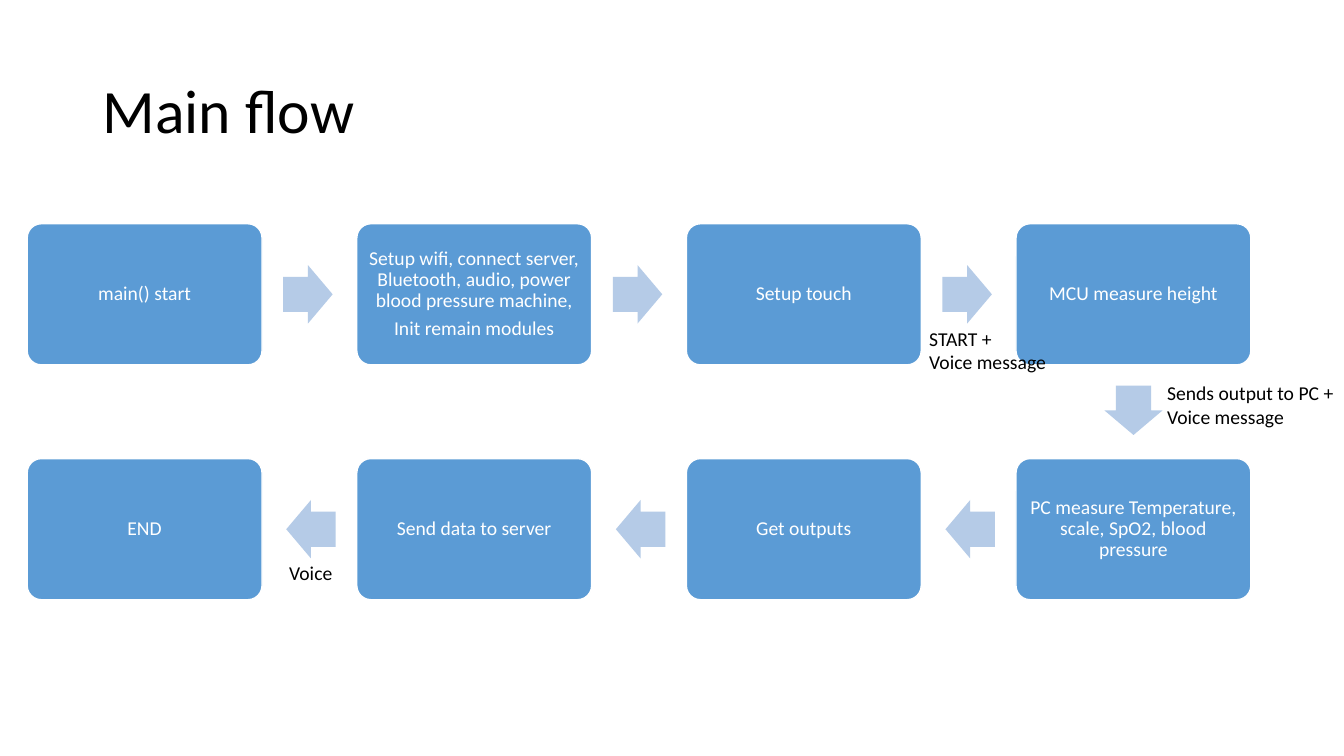
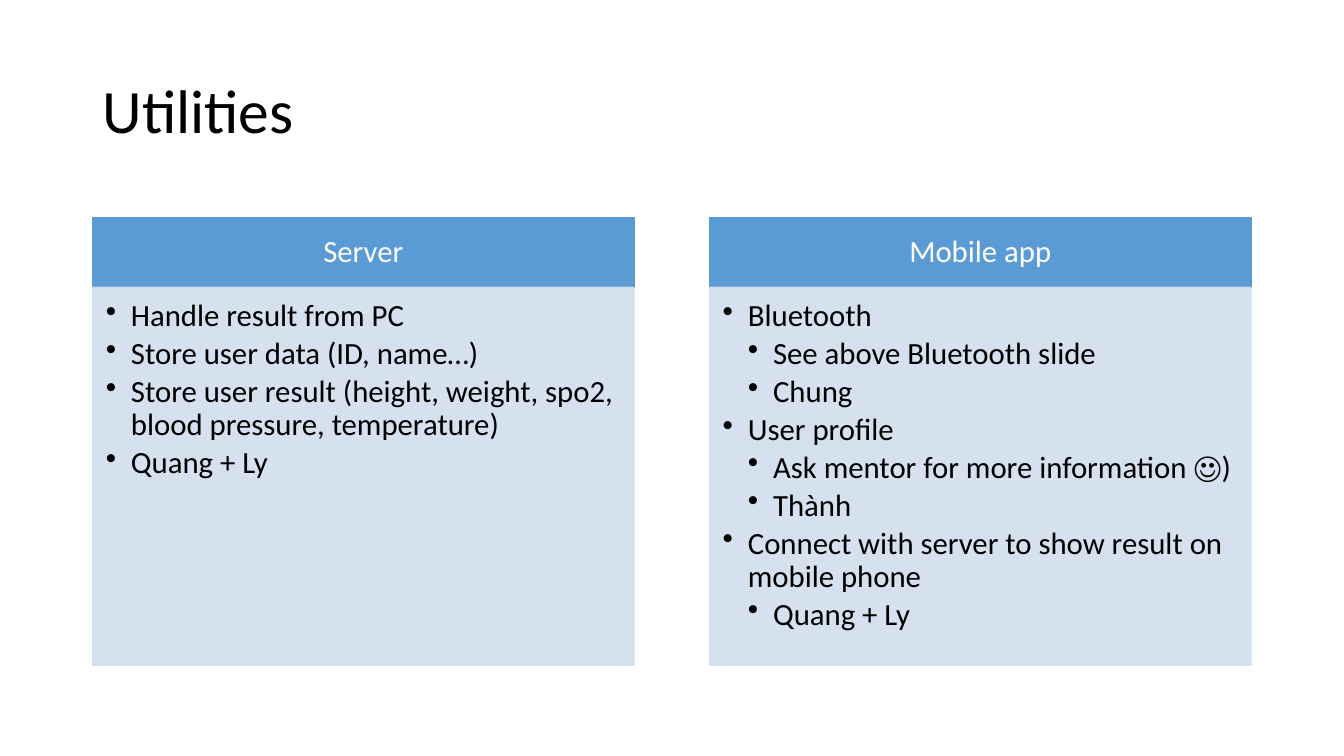
from lxml import etree
from pptx import Presentation
from pptx import util as u
from pptx.dml.color import RGBColor
from pptx.enum import shapes, text
from pptx.oxml.ns import qn

PX = 9144
FONT = "Calibri"
COLORS = {"blue": "5B9BD5", "arrow": "B5CBE7", "panel": "D2DEEF", "white": "FFFFFF", "black": "000000"}
KINDS = shapes.MSO_SHAPE
ALIGN = text.PP_ALIGN
ANCHOR = text.MSO_ANCHOR


def add_box(page, kind, area, fill, line=None):
    box = page.shapes.add_shape(kind, *[n * PX for n in area])
    box.shadow.inherit = False
    box.fill.solid()
    box.fill.fore_color.rgb = RGBColor.from_string(COLORS[fill])
    if line:
        box.line.color.rgb = RGBColor.from_string(COLORS[line])
        box.line.width = u.Pt(1)
    else:
        box.line.fill.background()
    return box


def write(box, lines, size=14, color="black", align=ALIGN.LEFT, anchor=ANCHOR.TOP,
          spacing=0.9, after=0, margins=(10, 5, 10, 5), wrap=True, levels=None):
    frame = box.text_frame
    frame.word_wrap = wrap
    frame.vertical_anchor = anchor
    frame.margin_left, frame.margin_top, frame.margin_right, frame.margin_bottom = [n * PX for n in margins]
    for index, line in enumerate(lines):
        para = frame.add_paragraph() if index else frame.paragraphs[0]
        para.alignment = align
        para.line_spacing = spacing
        para.space_after = u.Pt(after)
        span = para.add_run()
        span.text = line
        span.font.name = FONT
        span.font.size = u.Pt(size)
        span.font.color.rgb = RGBColor.from_string(COLORS[color])
        if levels:
            props = para._p.get_or_add_pPr()
            props.set("marL", str(25 * levels[index] * PX))
            props.set("indent", str(-25 * PX))
            etree.SubElement(props, qn("a:buChar")).set("char", "•")


deck = Presentation()
deck.slide_width, deck.slide_height = u.Emu(12192000), u.Emu(6858000)
pages = []
for title in ["Main flow", "Utilities"]:
    page = deck.slides.add_slide(deck.slide_layouts[6])
    box = page.shapes.add_textbox(*[n * PX for n in (92, 40, 1150, 145)])
    write(box, [title], size=44, anchor=ANCHOR.MIDDLE)
    pages.append(page)
flow, utilities = pages

LEFT, PITCH, STEP_WIDTH, STEP_HEIGHT = 27, 327, 233, 140
ARROW_WIDTH, ARROW_HEIGHT = 49, 58
rows = [
    (222, 281, 0, [
        ["main() start"],
        ["Setup wifi, connect server, Bluetooth, audio, power blood pressure machine,", "Init remain modules"],
        ["Setup touch"],
        ["MCU measure height"],
    ]),
    (455, 284, 180, [
        ["END"],
        ["Send data to server"],
        ["Get outputs"],
        ["PC measure Temperature, scale, SpO2, blood pressure"],
    ]),
]
arrows = [(1100, 378, 90)]
for top, arrow_left, turn, steps in rows:
    for column, lines in enumerate(steps):
        step = add_box(flow, KINDS.ROUNDED_RECTANGLE,
                       (LEFT + PITCH * column, top, STEP_WIDTH, STEP_HEIGHT), "blue", "white")
        step.adjustments[0] = 0.1
        write(step, lines, color="white", align=ALIGN.CENTER, anchor=ANCHOR.MIDDLE,
              after=5, margins=(6, 6, 6, 6))
        if column < len(steps) - 1:
            arrows.append((arrow_left + PITCH * column, top + (STEP_HEIGHT - ARROW_HEIGHT) // 2, turn))

for left, top, turn in arrows:
    arrow = add_box(flow, KINDS.RIGHT_ARROW, (left, top, ARROW_WIDTH, ARROW_HEIGHT), "arrow")
    arrow.adjustments[0] = 0.6
    arrow.adjustments[1] = 0.5
    arrow.rotation = turn

labels = [
    ((1148, 373, 185, 57), ["Sends output to PC +", "Voice message"]),
    ((912, 319, 137, 57), ["START +", "Voice message"]),
    ((277, 552, 64, 34), ["Voice"]),
]
for area, lines in labels:
    label = flow.shapes.add_textbox(*[n * PX for n in area])
    write(label, lines, spacing=1.0, wrap=False)

columns = [
    (92, "Server", [
        (1, "Handle result from PC"),
        (1, "Store user data (ID, name…)"),
        (1, "Store user result (height, weight, spo2, blood pressure, temperature)"),
        (1, "Quang + Ly"),
    ]),
    (704, "Mobile app", [
        (1, "Bluetooth"),
        (2, "See above Bluetooth slide"),
        (2, "Chung"),
        (1, "User profile"),
        (2, "Ask mentor for more information ☺)"),
        (2, "Thành"),
        (1, "Connect with server to show result on mobile phone"),
        (2, "Quang + Ly"),
    ]),
]
for left, heading, items in columns:
    header = add_box(utilities, KINDS.RECTANGLE, (left, 216, 537, 69), "blue", "blue")
    write(header, [heading], size=22, color="white", align=ALIGN.CENTER, anchor=ANCHOR.MIDDLE,
          margins=(17, 10, 17, 10))
    panel = add_box(utilities, KINDS.RECTANGLE, (left, 285, 537, 375), "panel", "panel")
    for tint in list(panel._element.spPr.iter(qn("a:srgbClr"))):
        etree.SubElement(tint, qn("a:alpha")).set("val", "90000")
    levels, lines = zip(*items)
    write(panel, lines, size=22, after=3.3, margins=(13, 13, 17, 19), levels=levels)

deck.save("out.pptx")
